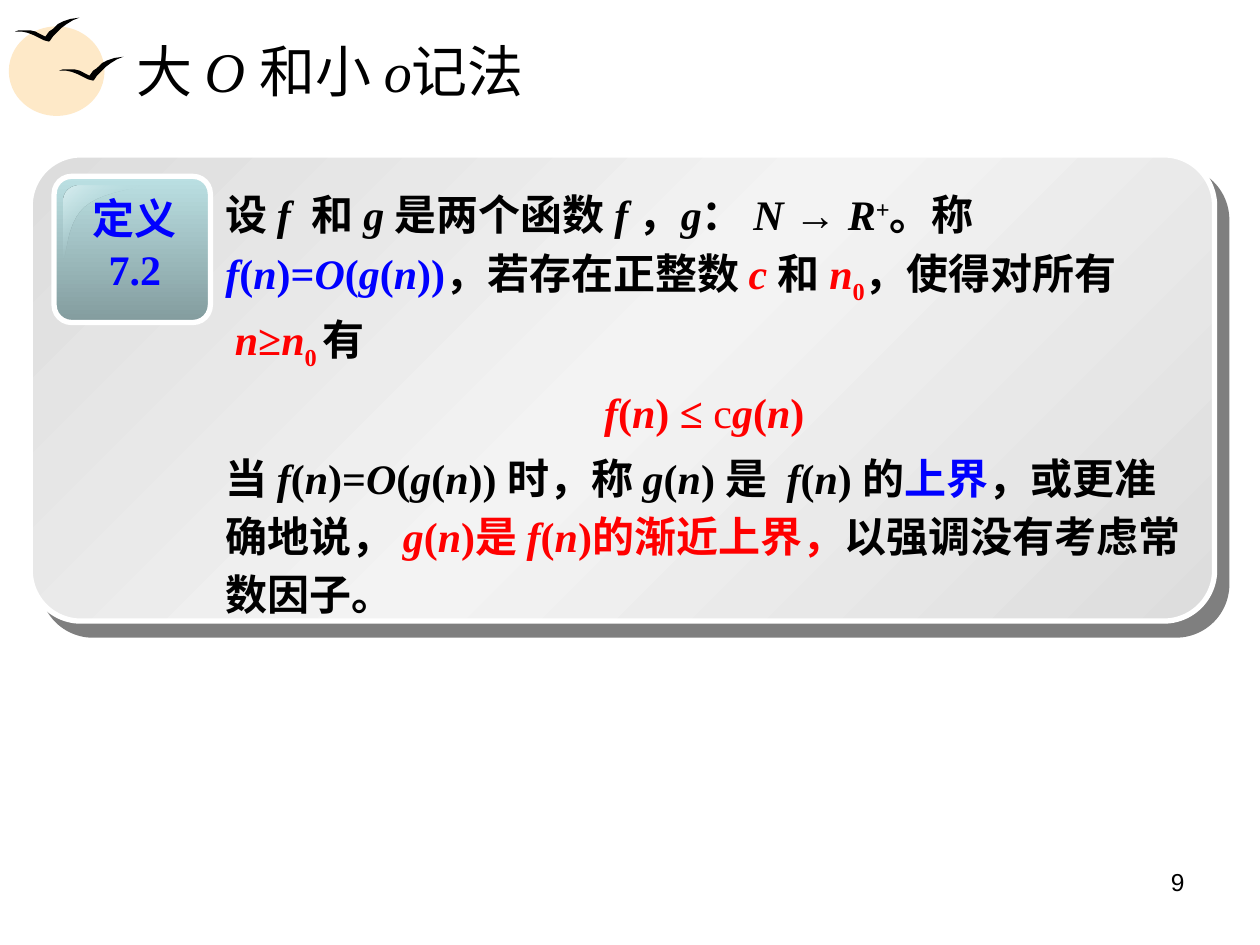
"""Build the slide that defines the big O notation."""
from itertools import groupby

from pptx import Presentation
from pptx.dml.color import RGBColor
from pptx.enum.shapes import MSO_SHAPE
from pptx.enum.text import MSO_ANCHOR, MSO_AUTO_SIZE, PP_ALIGN
from pptx.oxml import parse_xml
from pptx.oxml.ns import nsdecls, qn
from pptx.util import Inches, Pt

LEFT, CENTER, RIGHT = PP_ALIGN.LEFT, PP_ALIGN.CENTER, PP_ALIGN.RIGHT
MIDDLE = MSO_ANCHOR.MIDDLE
NO_AUTOFIT = MSO_AUTO_SIZE.NONE
ELLIPSE, ROUNDED = MSO_SHAPE.OVAL, MSO_SHAPE.ROUNDED_RECTANGLE

BLACK = RGBColor(0x00, 0x00, 0x00)
WHITE = RGBColor(0xFF, 0xFF, 0xFF)
BLUE = RGBColor(0x00, 0x00, 0xFF)
RED = RGBColor(0xFF, 0x00, 0x00)
SUN = RGBColor(0xFE, 0xE9, 0xC8)
SILVER = RGBColor(0xDD, 0xDD, 0xDD)
PEARL = RGBColor(0xF3, 0xF3, 0xF3)
TEAL = RGBColor(0xBB, 0xE0, 0xE3)
DARK_TEAL = RGBColor(0x83, 0x9C, 0x9E)
PALE_TEAL = RGBColor(0xDA, 0xEE, 0xF0)

SERIF, SANS = "Times New Roman", "Arial"

BIRD = [
    (0, 0.11), (0.03, 0.1), (0.08, 0.1), (0.12, 0.1), (0.16, 0.11), (0.2, 0.13),
    (0.24, 0.15), (0.27, 0.11), (0.3, 0.09), (0.34, 0.05), (0.38, 0.03),
    (0.44, 0.01), (0.51, 0), (0.46, 0.02), (0.41, 0.05), (0.37, 0.08),
    (0.33, 0.12), (0.3, 0.15), (0.28, 0.18), (0.27, 0.19), (0.23, 0.18),
    (0.19, 0.16), (0.15, 0.14), (0.1, 0.12), (0.05, 0.11),
]

TITLE = [("大 O 和小 o记法", {})]
LABEL = [[("定义", {})], [("7.2", {})]]
DEFINITION = [
    ("设 f  和 g 是两个函数 f ，g： N ", {}), ("→ ", {"font": SANS}), ("R", {}),
    ("+", {"baseline": 30}), ("。称", {}), ("f(n)=O(g(n))", {"color": BLUE}),
    ("，若存在正整数 ", {}), ("c ", {"color": RED}), ("和 ", {}), ("n", {"color": RED}),
    ("0", {"color": RED, "baseline": -25}), ("，使得对所有", {}), ("\n", {}), (" ", {}),
    ("n≥n", {"color": RED}), ("0 ", {"color": RED, "baseline": -25}), ("有", {}),
]
INEQUALITY = [
    ("f(n) ≤", {"color": RED}), (" c", {"color": RED, "bold": False, "italic": False}),
    ("g(n)", {"color": RED}),
]
UPPER_BOUND = [
    ("当 f(n)=O(g(n)) 时，称 g(n) 是  f(n) 的", {}), ("上界", {"color": BLUE}),
    ("，或更准确地说， ", {}), ("g(n)是 f(n)的渐近上界，", {"color": RED}),
    ("以强调没有考虑常数因子。", {}),
]


def split_variables(text):
    """Yield (is variable, chunk), where a variable is Latin letters with the spaces after them."""
    flags = []
    for char in text:
        letter = char.isascii() and char.isalpha()
        flags.append(letter or bool(char == " " and flags and flags[-1]))
    for flag, pairs in groupby(zip(flags, text), key=lambda pair: pair[0]):
        yield flag, "".join(char for _, char in pairs)


def write_span(para, text, size=24, font=SERIF, color=BLACK, bold=True, italic=True, baseline=0):
    """Append text to a paragraph, with its variables in italics."""
    if text == "\n":
        para.add_line_break()
        return
    for variable, chunk in split_variables(text):
        span = para.add_run()
        span.text = chunk
        span.font.size, span.font.name = Pt(size), font
        span.font.bold, span.font.italic = bold, variable and italic
        span.font.color.rgb = color
        if baseline:
            span.font._element.set("baseline", str(baseline * 1000))


def bezier(start, first, second, end, steps=12):
    """Return points along a cubic curve, without its start."""
    points = []
    for step in range(1, steps + 1):
        t = step / steps
        weights = ((1 - t) ** 3, 3 * t * (1 - t) ** 2, 3 * t * t * (1 - t), t ** 3)
        corners = (start, first, second, end)
        points.append(tuple(sum(w * c[axis] for w, c in zip(weights, corners)) for axis in (0, 1)))
    return points


class SlideBuilder:
    """Holds the current slide and draws styled elements on it."""

    def __init__(self, page):
        self.page = page

    def paint(self, shape, fill, angle=None, outline=False):
        """Fill a shape with a colour, or with (position, colour, opacity) stops at an angle."""
        shape.shadow.inherit = False
        shape.fill.solid()
        if angle is None:
            shape.fill.fore_color.rgb = fill
        else:
            stops = "".join(
                f'<a:gs pos="{position * 1000}"><a:srgbClr val="{color}">'
                f'<a:alpha val="{opacity * 1000}"/></a:srgbClr></a:gs>'
                for position, color, opacity in fill)
            gradient = parse_xml(
                f'<a:gradFill {nsdecls("a")} rotWithShape="1"><a:gsLst>{stops}</a:gsLst>'
                f'<a:lin ang="{angle * 60000}" scaled="0"/></a:gradFill>')
            properties = shape._element.spPr
            properties.replace(properties.find(qn("a:solidFill")), gradient)
        if outline:
            shape.line.color.rgb = WHITE
            shape.line.width = Pt(3)
        else:
            shape.line.fill.background()

    def preset(self, kind, bounds, fill, corner=None, **paint):
        """Add a preset shape."""
        shape = self.page.shapes.add_shape(kind, *map(Inches, bounds))
        if corner is not None:
            shape.adjustments[0] = corner
        self.paint(shape, fill, **paint)
        return shape

    def outline(self, points, fill, **paint):
        """Add a closed freeform through points in inches."""
        corners = [(Inches(x), Inches(y)) for x, y in points]
        builder = self.page.shapes.build_freeform(*corners[0])
        builder.add_line_segments(corners[1:], close=True)
        self.paint(builder.convert_to_shape(), fill, **paint)

    def cast_shadow(self, shape, distance, angle):
        """Give a shape a hard half-transparent shadow."""
        shape._element.spPr.find(qn("a:effectLst")).append(parse_xml(
            f'<a:outerShdw {nsdecls("a")} blurRad="0" dist="{Pt(distance)}" dir="{angle * 60000}" '
            'algn="ctr" rotWithShape="0"><a:srgbClr val="000000"><a:alpha val="50000"/>'
            '</a:srgbClr></a:outerShdw>'))

    def text(self, bounds, paragraphs, aligns, spacing=None, before=0, **style):
        """Add a text box with one alignment per paragraph."""
        box = self.page.shapes.add_textbox(*map(Inches, bounds))
        box.text_frame.word_wrap = True
        for index, (spans, align) in enumerate(zip(paragraphs, aligns)):
            para = box.text_frame.add_paragraph() if index else box.text_frame.paragraphs[0]
            para.alignment, para.line_spacing = align, spacing
            para.space_before = Pt(before if index else 0)
            for text, extra in spans:
                write_span(para, text, **{**style, **extra})

    def title(self, bounds, spans):
        """Move and fill the title placeholder."""
        box = self.page.shapes.title
        box.left, box.top, box.width, box.height = map(Inches, bounds)
        frame = box.text_frame
        frame.auto_size, frame.vertical_anchor = NO_AUTOFIT, MIDDLE
        frame.paragraphs[0].alignment = LEFT
        for text, extra in spans:
            write_span(frame.paragraphs[0], text, size=32, bold=False, **extra)


def main():
    """Build and save the deck."""
    deck = Presentation()
    deck.slide_width, deck.slide_height = Inches(10), Inches(7.5)
    slide = SlideBuilder(deck.slides.add_slide(deck.slide_layouts[5]))

    slide.preset(ELLIPSE, (0.07, 0.21, 0.76, 0.71), SUN)
    for left, top in ((0.47, 0.45), (0.12, 0.14)):
        slide.outline([(left + x, top + y) for x, y in BIRD], BLACK)

    slide.text((7.17, 6.83, 2.33, 0.52), [[("9", {})]], [RIGHT], size=14, font=SANS, bold=False)
    slide.title((0.98, 0.21, 8.53, 0.69), TITLE)

    panel = slide.preset(
        ROUNDED, (0.24, 1.23, 9.4, 3.7), [(0, SILVER, 100), (50, PEARL, 100), (100, SILVER, 100)],
        corner=0.109, angle=45, outline=True)
    slide.cast_shadow(panel, 10.6, 49)
    slide.preset(ROUNDED, (0.43, 1.4, 1.24, 1.16), [(0, TEAL, 100), (100, DARK_TEAL, 100)],
                 corner=0.119, angle=90, outline=True)
    gloss = [(0.63, 1.47)]
    for curve in (((0.56, 1.47), (0.5, 1.52), (0.5, 1.59)),
                  ((0.5, 1.74), (0.5, 1.9), (0.5, 2.05)),
                  ((0.53, 2.05), (0.52, 1.77), (0.67, 1.64)),
                  ((0.82, 1.51), (1.12, 1.5), (1.11, 1.47))):
        gloss += bezier(gloss[-1], *curve)
    slide.outline(gloss, [(0, PALE_TEAL, 100), (50, TEAL, 0), (100, PALE_TEAL, 100)], angle=45)

    slide.text((0.6, 1.48, 0.94, 0.9), LABEL, [CENTER] * 2, color=BLUE)
    slide.text((1.69, 1.39, 7.8, 3.57), [DEFINITION, INEQUALITY, UPPER_BOUND],
               [LEFT, CENTER, LEFT], spacing=1.15, before=4.5)
    deck.save("out.pptx")


if __name__ == "__main__":
    main()
